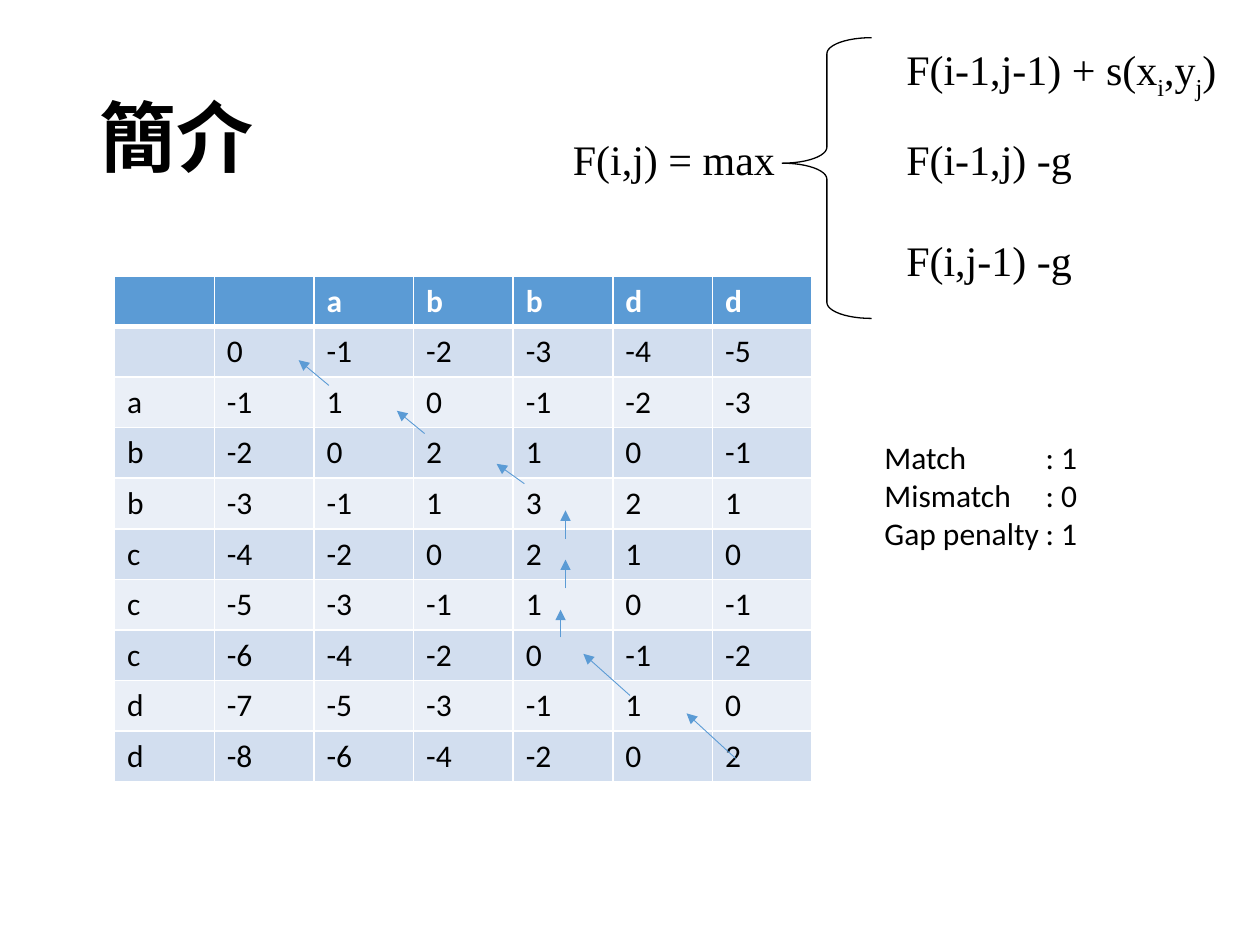
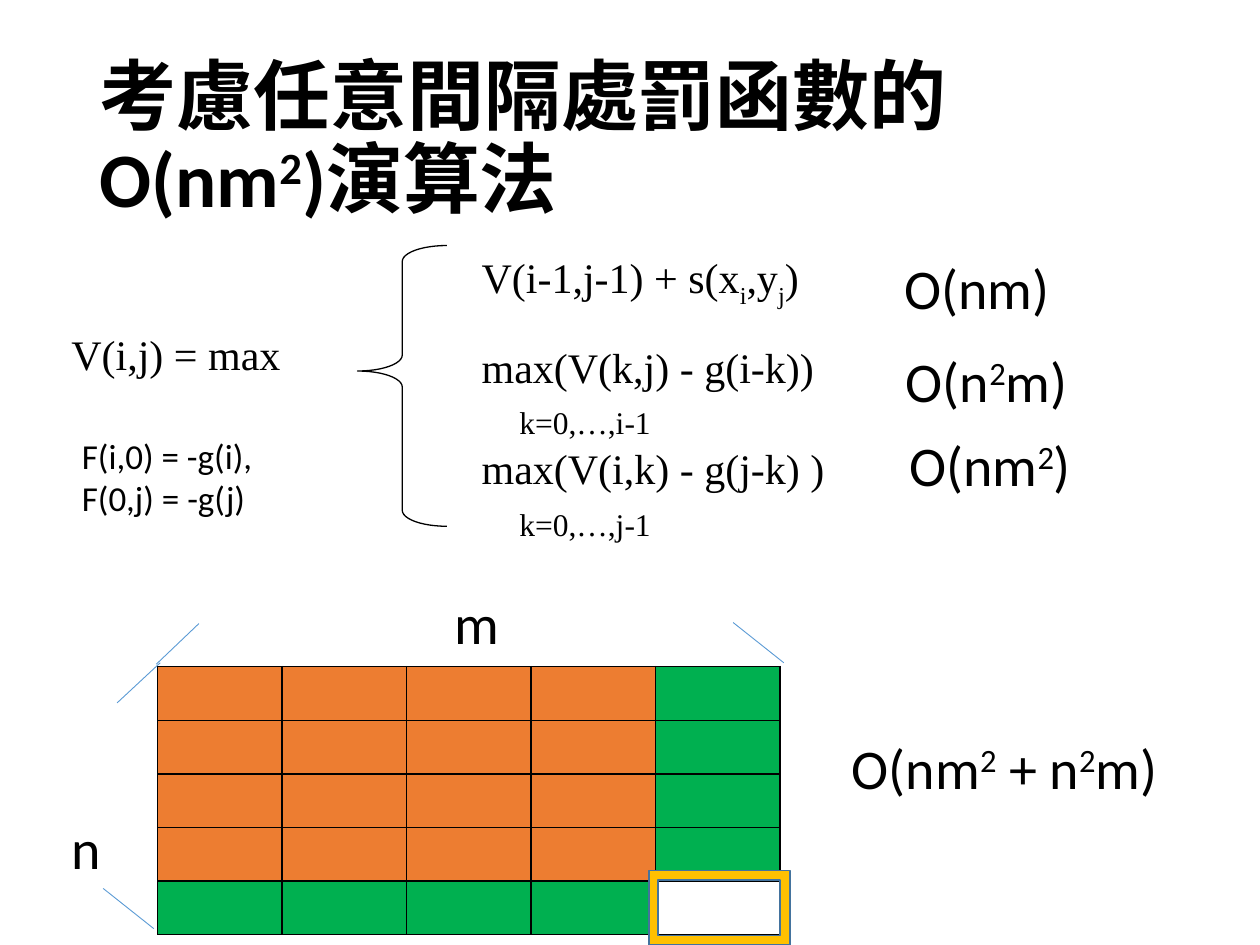
from lxml import etree
from pptx import Presentation
from pptx.dml.color import RGBColor
from pptx.enum.shapes import MSO_CONNECTOR, MSO_SHAPE
from pptx.enum.text import MSO_ANCHOR
from pptx.oxml.ns import qn
from pptx.util import Cm, Pt

STRAIGHT = MSO_CONNECTOR.STRAIGHT
LEFT_BRACE = MSO_SHAPE.LEFT_BRACE
FRAME = MSO_SHAPE.FRAME
MIDDLE = MSO_ANCHOR.MIDDLE
TOP = MSO_ANCHOR.TOP

SANS, SERIF = "Calibri", "Times New Roman"
BLACK, WHITE = "000000", "FFFFFF"
BLUE, BAND_DARK, BAND_LIGHT = "5B9BD5", "D2DEEF", "EAEFF7"
ORANGE, GREEN, GOLD, FRAME_EDGE = "ED7D31", "00B050", "FFC000", "43739E"
SUBSCRIPT, SUPERSCRIPT = -25000, 30000

SCORE_ROWS = [row.split(",") for row in (
    ",,a,b,b,d,d",
    ",0,-1,-2,-3,-4,-5",
    "a,-1,1,0,-1,-2,-3",
    "b,-2,0,2,1,0,-1",
    "b,-3,-1,1,3,2,1",
    "c,-4,-2,0,2,1,0",
    "c,-5,-3,-1,1,0,-1",
    "c,-6,-4,-2,0,-1,-2",
    "d,-7,-5,-3,-1,1,0",
    "d,-8,-6,-4,-2,0,2",
)]
# Start and end of each traceback arrow, from the table's corner
TRACEBACK = [
    (12.52, 9.73, 11.53, 8.82), (10.39, 8.46, 9.45, 7.62),
    (8.99, 7.29, 8.99, 6.73), (9.09, 6.3, 9.09, 5.72),
    (9.09, 5.31, 9.09, 4.73), (8.26, 4.19, 7.7, 3.79),
    (6.25, 3.18, 5.69, 2.72), (4.32, 2.21, 3.71, 1.7),
]
# Extent marks of the n by m grid, from the grid's corner
EXTENT_MARKS = [
    (-0.03, -0.05, 0.83, -0.87), (11.6, -0.89, 12.62, -0.08),
    (-1.1, 4.47, -0.08, 5.28), (-0.82, 0.73, 0.05, -0.08),
]


def color(value):
    return RGBColor.from_string(value)


def style_font(font, size, name=SANS, fill=BLACK, bold=False):
    font.size, font.name, font.bold = Pt(size), name, bold
    font.color.rgb = color(fill)


def add_text(slide, left, top, width, height, lines, size, name=SANS, bold=False,
             shift=SUPERSCRIPT, anchor=TOP, line_spacing=None, tab=None):
    """Each line is a list of runs; every second run is raised or lowered by shift."""
    box = slide.shapes.add_textbox(Cm(left), Cm(top), Cm(width), Cm(height))
    frame = box.text_frame
    frame.word_wrap = True
    frame.vertical_anchor = anchor
    for index, runs in enumerate(lines):
        paragraph = frame.add_paragraph() if index else frame.paragraphs[0]
        if tab:
            tabs = etree.SubElement(paragraph._p.get_or_add_pPr(), qn("a:tabLst"))
            etree.SubElement(tabs, qn("a:tab"), pos=str(Cm(tab)), algn="l")
        if line_spacing:
            paragraph.line_spacing = line_spacing
        style_font(paragraph.font, size, name, bold=bold)
        for position, text in enumerate(runs):
            run = paragraph.add_run()
            run.text = text
            if position % 2:
                run._r.get_or_add_rPr().set("baseline", str(shift))


def add_title(slide, runs):
    add_text(slide, 1.75, 1.01, 21.9, 3.68, [runs], 44, bold=True,
             anchor=MIDDLE, line_spacing=0.9)


def add_lines(slide, left, top, segments, arrow=False):
    for x1, y1, x2, y2 in segments:
        connector = slide.shapes.add_connector(
            STRAIGHT, Cm(left + x1), Cm(top + y1), Cm(left + x2), Cm(top + y2))
        connector.line.color.rgb = color(BLUE)
        connector.line.width = Pt(0.5)
        if arrow:
            etree.SubElement(connector.line._get_or_add_ln(), qn("a:tailEnd"), type="triangle")
        etree.SubElement(connector._element.spPr, qn("a:effectLst"))


def add_grid(slide, left, top, column_width, row_height, rows, columns):
    table = slide.shapes.add_table(
        rows, columns, Cm(left), Cm(top),
        Cm(column_width * columns), Cm(row_height * rows)).table
    table.first_row = table.horz_banding = False
    for column in table.columns:
        column.width = Cm(column_width)
    for row in table.rows:
        row.height = Cm(row_height)
    return table


def style_cell(cell, fill, border, top=1, bottom=1):
    properties = cell._tc.get_or_add_tcPr()
    for side, width in (("L", 1), ("R", 1), ("T", top), ("B", bottom)):
        line = etree.SubElement(properties, qn("a:ln" + side), w=str(Pt(width)))
        solid = etree.SubElement(line, qn("a:solidFill"))
        etree.SubElement(solid, qn("a:srgbClr"), val=border)
    if fill:
        cell.fill.solid()
        cell.fill.fore_color.rgb = color(fill)
    else:
        cell.fill.background()


def add_recurrence(slide, left, top, term, term_offset, cases, case_width):
    """Brace at (left, top), the defined term before it and the cases after it."""
    brace = slide.shapes.add_shape(LEFT_BRACE, Cm(left), Cm(top), Cm(1.8), Cm(5.66))
    brace.shadow.inherit = False
    brace.adjustments[0], brace.adjustments[1] = 0.179, 0.447
    brace.fill.background()
    brace.line.color.rgb = color(BLACK)
    brace.line.width = Pt(0.75)
    term_x, term_y = term_offset
    add_text(slide, left + term_x, top + term_y, 5.79, 1.27, [[term]], 24, SERIF)
    for case, case_y in zip(cases, (0, 1.8, 3.84)):
        add_text(slide, left + 2.25, top + case_y, case_width, 1.27, [case], 24, SERIF,
                 shift=SUBSCRIPT)


def add_score_table(slide, left, top):
    table = add_grid(slide, left, top, 2.01, 1.02, len(SCORE_ROWS), len(SCORE_ROWS[0]))
    for row, values in enumerate(SCORE_ROWS):
        header = row == 0
        fill = BLUE if header else BAND_DARK if row % 2 else BAND_LIGHT
        for column, value in enumerate(values):
            cell = table.cell(row, column)
            style_cell(cell, fill, WHITE, top=3 if row == 1 else 1, bottom=3 if header else 1)
            cell.text = value
            style_font(cell.text_frame.paragraphs[0].font, 18,
                       fill=WHITE if header else BLACK, bold=header)
    add_lines(slide, left, top, TRACEBACK, arrow=True)


def add_dependency_grid(slide, left, top):
    """Grid whose last row and column feed the framed corner cell."""
    size, column_width, row_height = 5, 2.51, 1.08
    last = size - 1
    table = add_grid(slide, left, top, column_width, row_height, size, size)
    for row in range(size):
        for column in range(size):
            edges = (row == last) + (column == last)
            style_cell(table.cell(row, column), (ORANGE, GREEN, None)[edges], BLACK)
    frame = slide.shapes.add_shape(
        FRAME, Cm(left + 9.9), Cm(top + 4.11), Cm(2.84), Cm(1.5))
    frame.shadow.inherit = False
    frame.fill.solid()
    frame.fill.fore_color.rgb = color(GOLD)
    frame.line.color.rgb = color(FRAME_EDGE)
    frame.line.width = Pt(1)
    add_text(slide, left + 5.74, top - 1.71, 2.16, 1.63, [["m"]], 32)
    add_text(slide, left - 1.99, top + 2.84, 1.8, 1.63, [["n"]], 32)
    add_lines(slide, left, top, EXTENT_MARKS)


def build_introduction(slide):
    add_title(slide, ["簡介"])
    add_score_table(slide, 2.31, 5.56)
    add_recurrence(slide, 15.77, 0.76, "F(i,j) = max", (-4.47, 1.8),
                   [["F(i-1,j-1) + s(x", "i", ",y", "j", ")"],
                    ["F(i-1,j) -g"], ["F(i,j-1) -g"]], 7.3)
    add_text(slide, 17.58, 8.71, 6.32, 2.57,
             [["Match\t: 1"], ["Mismatch\t: 0"], ["Gap penalty\t: 1"]], 18, tab=3.25)


def build_arbitrary_gap(slide):
    add_title(slide, ["考慮任意間隔處罰函數的O(nm", "2", ")演算法"])
    left, top = 7.21, 4.95
    add_recurrence(slide, left, top, "V(i,j) = max", (-6.02, 1.55),
                   [["V(i-1,j-1) + s(x", "i", ",y", "j", ")"],
                    ["max(V(k,j) - g(i-k))"], ["max(V(i,k) - g(j-k) )"]], 8.5)
    for limit, limit_y in (("k=0,…,i-1", 3.05), ("k=0,…,j-1", 5.11)):
        add_text(slide, left + 3.01, top + limit_y, 3.5, 1.02, [[limit]], 18, SERIF)
    add_text(slide, 1.4, 8.64, 4.5, 2.74, [["F(i,0) = -g(i),"], ["F(0,j) = -g(j)"]], 20)
    add_dependency_grid(slide, 3.18, 13.44)
    for x, y, cost in (
        (17.98, 4.98, ["O(nm)"]),
        (18.01, 6.86, ["O(n", "2", "m)"]),
        (18.08, 8.56, ["O(nm", "2", ")"]),
        (16.92, 14.66, ["O(nm", "2", " + n", "2", "m)"]),
    ):
        add_text(slide, x, y, 7.3, 1.63, [cost], 32)


def main():
    presentation = Presentation()
    presentation.slide_width, presentation.slide_height = Cm(25.4), Cm(19.05)
    blank = presentation.slide_layouts[6]
    for build in (build_introduction, build_arbitrary_gap):
        build(presentation.slides.add_slide(blank))
    presentation.save("out.pptx")


if __name__ == "__main__":
    main()
